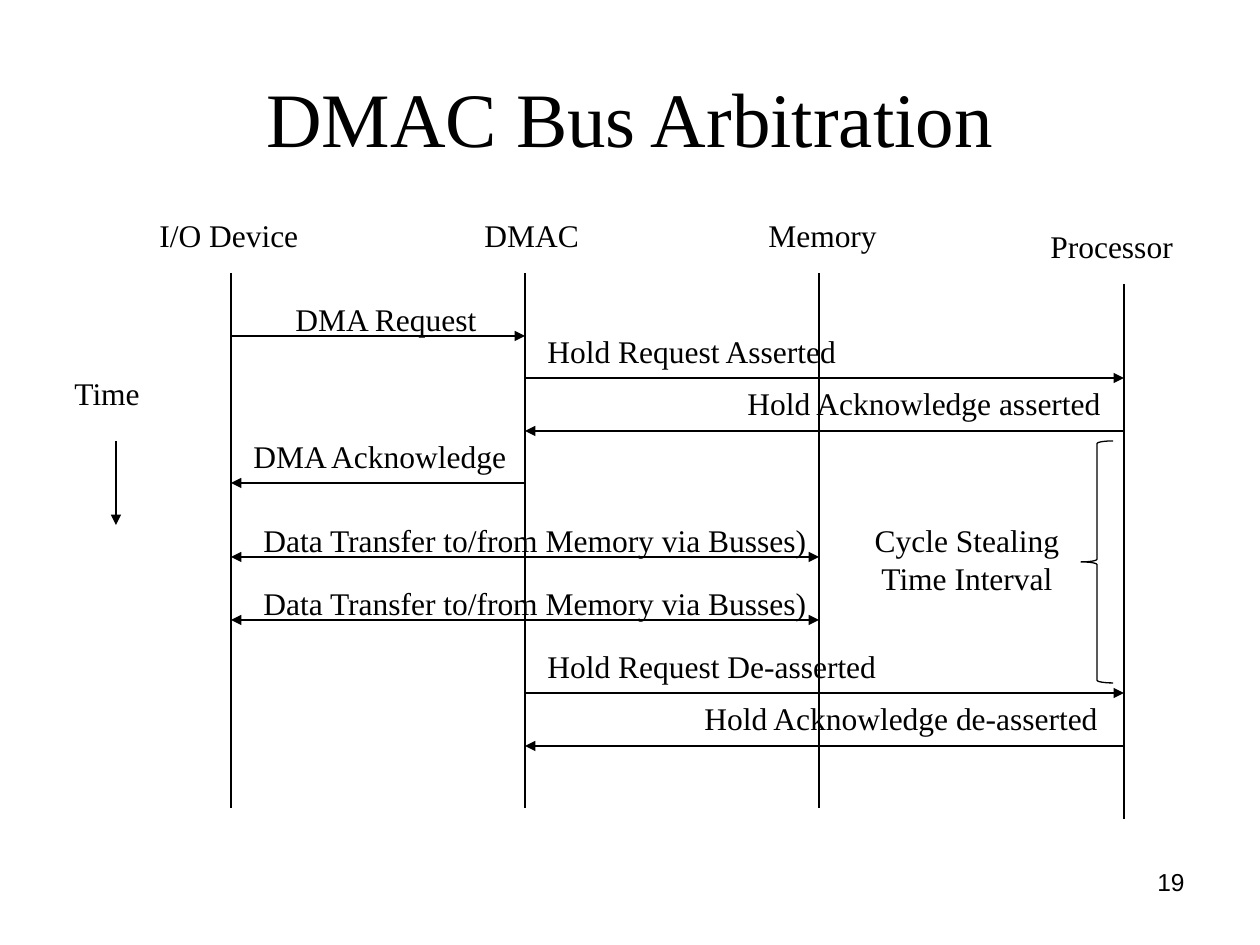
from lxml import etree
from pptx import Presentation
from pptx import util as u
from pptx.dml.color import RGBColor
from pptx.enum import shapes, text
from pptx.oxml import ns

SCALE = 914400 / 126  # EMU in one px
BLACK = "000000"
SERIF = "Times New Roman"
LINE_HEIGHT = 50

# Lifelines: x of each party
DEVICE, DMAC, MEMORY, PROCESSOR = 231, 525, 819, 1124

# name, x, top of line, label left, label width
PARTIES = [
    ("I/O Device", DEVICE, 273, 147, 166),
    ("DMAC", DMAC, 273, 472, 122),
    ("Memory", MEMORY, 273, 756, 136),
    ("Processor", PROCESSOR, 284, 1038, 151),
]

TRANSFER = "Data Transfer to/from Memory via Busses)"
# wording, from, to, y, label left, label top, label width, both ways
MESSAGES = [
    ("DMA Request", DEVICE, DMAC, 336, 283, 294, 210, False),
    ("Hold Request Asserted", DMAC, PROCESSOR, 378, 535, 326, 317, False),
    ("Hold Acknowledge asserted", PROCESSOR, DMAC, 431, 735, 378, 390, False),
    ("DMA Acknowledge", DMAC, DEVICE, 483, 241, 431, 283, False),
    (TRANSFER, DEVICE, MEMORY, 557, 251, 515, 572, True),
    (TRANSFER, DEVICE, MEMORY, 620, 251, 578, 572, True),
    ("Hold Request De-asserted", DMAC, PROCESSOR, 693, 535, 641, 356, False),
    ("Hold Acknowledge de-asserted", PROCESSOR, DMAC, 746, 692, 693, 431, False),
]


def px(length):
    return u.Emu(round(length * SCALE))


def colour(value):
    return RGBColor.from_string(value)


def style_text(frame, size, font, align):
    for paragraph in frame.paragraphs:
        paragraph.alignment = align
        for run in paragraph.runs:
            run.font.size = u.Pt(size)
            run.font.name = font
            run.font.color.rgb = colour(BLACK)


def add_label(slide, wording, left, top, width, height=LINE_HEIGHT,
              align=text.PP_ALIGN.LEFT):
    frame = slide.shapes.add_textbox(px(left), px(top), px(width), px(height)).text_frame
    frame.word_wrap = False
    frame.auto_size = text.MSO_AUTO_SIZE.SHAPE_TO_FIT_TEXT
    frame.text = wording
    style_text(frame, 18, SERIF, align)


def add_line(slide, x1, y1, x2, y2, ends=()):
    line = slide.shapes.add_connector(
        shapes.MSO_CONNECTOR.STRAIGHT, px(x1), px(y1), px(x2), px(y2))
    line.line.color.rgb = colour(BLACK)
    line.line.width = u.Pt(0.75)
    properties = line.element.spPr
    outline = properties.find(ns.qn("a:ln"))
    for end in ends:
        etree.SubElement(outline, ns.qn(f"a:{end}"), type="triangle")
    etree.SubElement(properties, ns.qn("a:effectLst"))


def add_title(slide, wording):
    title = slide.shapes.title
    title.left, title.top, title.width, title.height = px(63), px(38), px(1134), px(158)
    title.text_frame.text = wording
    title.text_frame.vertical_anchor = text.MSO_ANCHOR.MIDDLE
    style_text(title.text_frame, 44, SERIF, text.PP_ALIGN.CENTER)


def add_page_number(slide, number):
    frame = slide.shapes.add_textbox(px(903), px(861), px(294), px(66)).text_frame
    frame.word_wrap = True
    frame.text = number
    style_text(frame, 14, "Arial", text.PP_ALIGN.RIGHT)


def add_brace(slide, left, top, width, height):
    brace = slide.shapes.add_shape(
        shapes.MSO_SHAPE.LEFT_BRACE, px(left), px(top), px(width), px(height))
    brace.shadow.inherit = False
    brace.fill.background()
    brace.line.color.rgb = colour(BLACK)
    brace.line.width = u.Pt(0.75)


def main():
    deck = Presentation()
    deck.slide_width, deck.slide_height = px(1260), px(945)
    slide = deck.slides.add_slide(deck.slide_layouts[5])
    add_title(slide, "DMAC Bus Arbitration")
    add_page_number(slide, "19")

    # Parties and their lifelines
    for name, x, top, left, width in PARTIES:
        add_line(slide, x, top, x, top + 535)
        add_label(slide, name, left, top - 63, width)

    # Direction of time
    add_label(slide, "Time", 62, 368, 94)
    add_line(slide, 116, 441, 116, 525, ["tailEnd"])

    # Messages in order of time
    for wording, start, end, y, left, top, width, both_ways in MESSAGES:
        ends = ["headEnd", "tailEnd"] if both_ways else ["tailEnd"]
        add_line(slide, start, y, end, y, ends)
        add_label(slide, wording, left, top, width)

    # Cycle stealing interval
    add_brace(slide, 1081, 441, 32, 242)
    add_label(slide, "Cycle Stealing\nTime Interval", 860, 515, 214, 88,
              text.PP_ALIGN.CENTER)

    deck.save("out.pptx")


if __name__ == "__main__":
    main()
